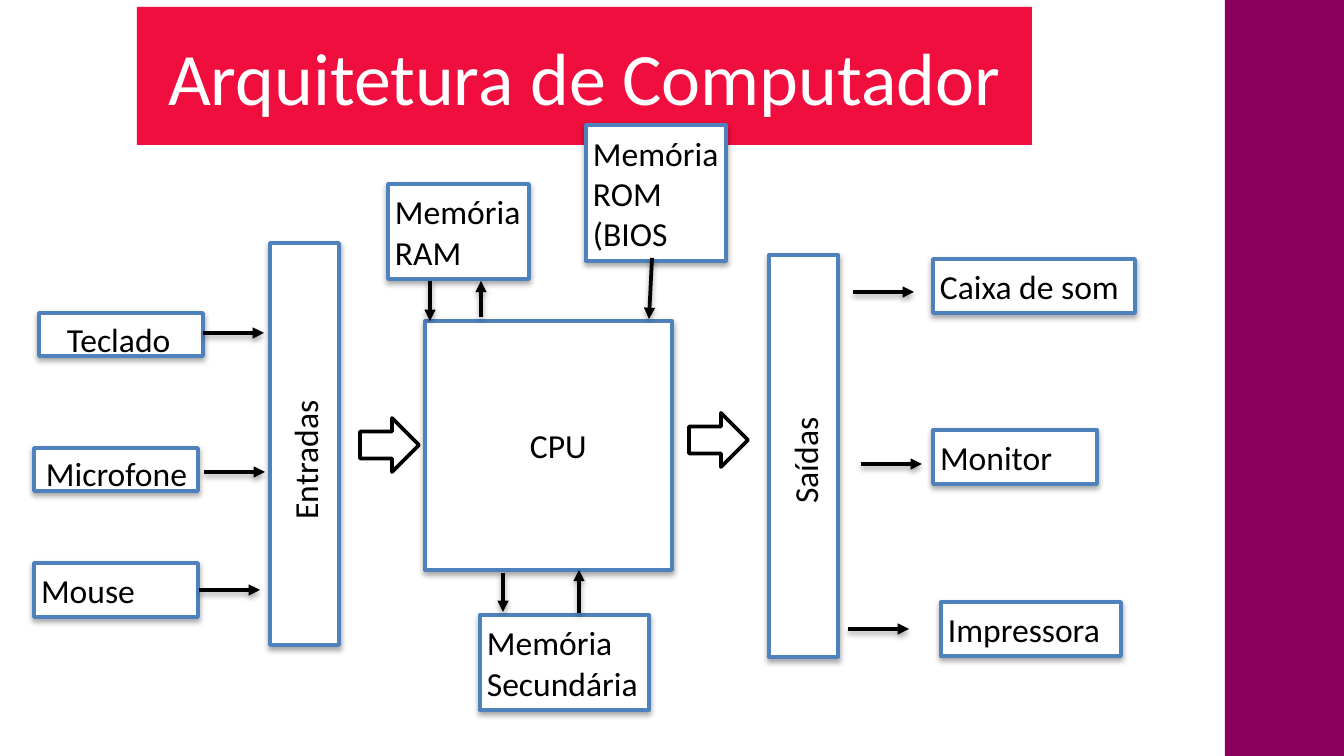
from lxml import etree
from pptx import Presentation
from pptx.dml.color import RGBColor
from pptx.enum.shapes import MSO_CONNECTOR, MSO_SHAPE
from pptx.enum.text import MSO_ANCHOR, PP_ALIGN
from pptx.oxml.ns import qn
from pptx.util import Pt

RECT, ARROW = MSO_SHAPE.RECTANGLE, MSO_SHAPE.RIGHT_ARROW
LINE = MSO_CONNECTOR.STRAIGHT
MIDDLE, TOP = MSO_ANCHOR.MIDDLE, MSO_ANCHOR.TOP
LEFT, CENTER = PP_ALIGN.LEFT, PP_ALIGN.CENTER

SCALE = 914400 / 134.4
WIDTH, HEIGHT = 1344, 756
PAD = 7
REACH = 61
COLORS = {"white": "FFFFFF", "black": "000000", "blue": "4F81BD",
          "red": "F00E3E", "plum": "88005B"}
SHADOW = {"blurRad": "38100", "dist": "23000", "dir": "5400000", "rotWithShape": "0"}


def emu(px):
    """Turn picture pixels into EMU."""
    return round(px * SCALE)


def color(name):
    """Look up a colour by name."""
    return RGBColor.from_string(COLORS[name])


def shade(shape):
    """Give a shape or connector a soft shadow below it."""
    effects = etree.SubElement(shape._element.spPr, qn("a:effectLst"))
    outer = etree.SubElement(effects, qn("a:outerShdw"), SHADOW)
    tint = etree.SubElement(outer, qn("a:srgbClr"), val=COLORS["black"])
    etree.SubElement(tint, qn("a:alpha"), val="35000")


def write(shape, text, size=18, ink="black", align=LEFT, anchor=MIDDLE):
    """Put one paragraph of text into a shape."""
    frame = shape.text_frame
    form = {"word_wrap": True, "vertical_anchor": anchor, "margin_left": emu(PAD),
            "margin_right": emu(PAD), "margin_top": emu(PAD), "margin_bottom": emu(PAD)}
    for key, value in form.items():
        setattr(frame, key, value)
    part = frame.paragraphs[0]
    part.alignment = align
    run = part.add_run()
    run.text = text
    for key, value in {"name": "Calibri", "size": Pt(size)}.items():
        setattr(run.font, key, value)
    run.font.color.rgb = color(ink)


def block(slide, box, fill="white", line=None, kind=RECT):
    """Add a flat preset shape."""
    shape = slide.shapes.add_shape(kind, *map(emu, box))
    shape.fill.solid()
    shape.fill.fore_color.rgb = color(fill)
    if line:
        shape.line.color.rgb = color(line)
        shape.line.width = Pt(2)
    else:
        shape.line.fill.background()
    shape.shadow.inherit = False
    return shape


def card(slide, box, text=None):
    """Add a blue-edged box with a shadow, and text if given."""
    shape = block(slide, box, line="blue")
    shape._element.spPr.remove(shape._element.spPr.find(qn("a:effectLst")))
    shade(shape)
    if text:
        write(shape, text)


def label(slide, box, text, turn=0):
    """Add a free text label, turned if asked."""
    shape = slide.shapes.add_textbox(*map(emu, box))
    shape.rotation = turn
    write(shape, text, anchor=TOP)


def arrow(slide, x1, y1, x2, y2):
    """Add a black line with a head at its end."""
    wire = slide.shapes.add_connector(LINE, *map(emu, (x1, y1, x2, y2)))
    wire.line.color.rgb = color("black")
    wire.line.width = Pt(2)
    etree.SubElement(wire.line._get_or_add_ln(), qn("a:tailEnd"), type="triangle")
    shade(wire)


def header(slide, box):
    """Add the title band."""
    write(block(slide, box, "red"), "Arquitetura de Computador", 39.6, "white", CENTER)


def core(slide, box):
    """Add the CPU, its memories and the arrows between them."""
    x, y, w, h = box
    card(slide, (x + 37, y + 196, 247, 249))
    label(slide, (x + 135, y + 293, 91, 54), "CPU")
    for text, dx, dy, wide, high in (
            ("Memória Secundária", 92, h - 95, 169, 95),
            ("Memória ROM (BIOS", w - 140, 0, 140, 136),
            ("Memória RAM", 0, 59, 141, 95)):
        card(slide, (x + dx, y + dy, wide, high), text)
    for x1, y1, x2, y2 in ((42, 156, 42, 196), (93, 192, 93, 156), (264, 133, 261, 194),
                           (191, 488, 191, 445), (115, 448, 115, 487)):
        arrow(slide, x + x1, y + y1, x + x2, y + y2)


def inputs(slide, box):
    """Add the input bar at the right and the devices that feed it."""
    x, y, w, h = box
    card(slide, (x + w - 69, y, 69, h))
    label(slide, (x + 180, y + 166, 181, 54), "Entradas", 270)
    for dx, dy, high in ((5, 70, 43), (0, 205, 43), (0, 320, 54)):
        card(slide, (x + dx, y + dy, 164, high), "Mouse" if high == 54 else None)
    label(slide, (x + 5, y + 203, 164, 54), "Microfone")
    label(slide, (x + 26, y + 69, 141, 54), "Teclado")
    for dx, dy in ((169, 90), (170, 229), (165, 347)):
        arrow(slide, x + dx, y + dy, x + dx + REACH, y + dy)


def outputs(slide, box):
    """Add the output bar at the left and the devices it drives."""
    x, y, w, h = box
    card(slide, (x, y, 69, h))
    label(slide, (x - 31, y + 162, 133, 54), "Saídas", 270)
    for text, dx, dy, wide, start, drop in (
            ("Caixa de som", 164, 4, w - 164, 84, 37),
            ("Monitor", 164, 175, 164, 92, 209),
            ("Impressora", 172, 347, 180, 79, 374)):
        card(slide, (x + dx, y + dy, wide, 54), text)
        arrow(slide, x + start, y + drop, x + start + REACH, y + drop)


def main():
    """Build and save the slide."""
    deck = Presentation()
    deck.slide_width, deck.slide_height = emu(WIDTH), emu(HEIGHT)
    slide = deck.slides.add_slide(deck.slide_layouts[6])
    block(slide, (1225, 0, WIDTH - 1225, HEIGHT), "plum")
    header(slide, (137, 7, 895, 138))
    core(slide, (388, 125, 338, 585))
    inputs(slide, (34, 243, 305, 402))
    outputs(slide, (769, 255, 366, 402))
    for x, y in ((360, 418), (689, 413)):
        block(slide, (x, y, 59, 54), line="black", kind=ARROW)
    deck.save("out.pptx")


main()
